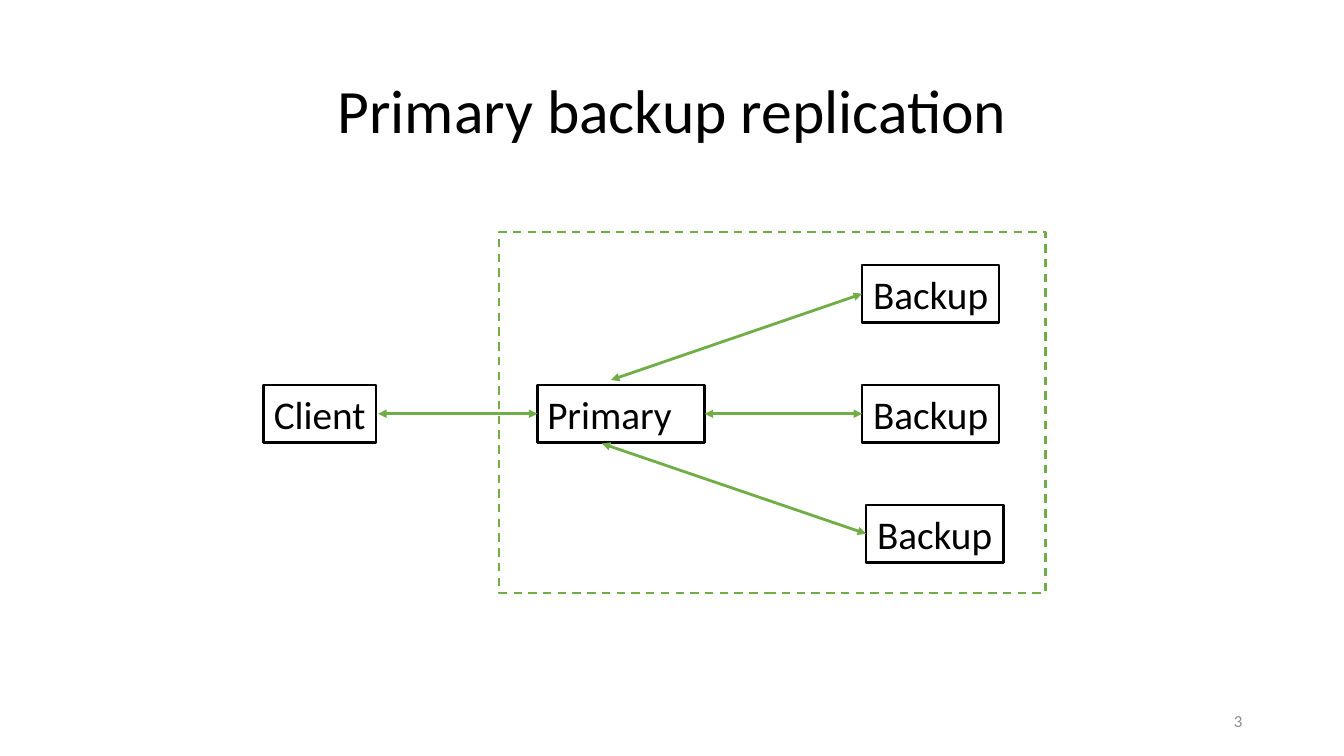
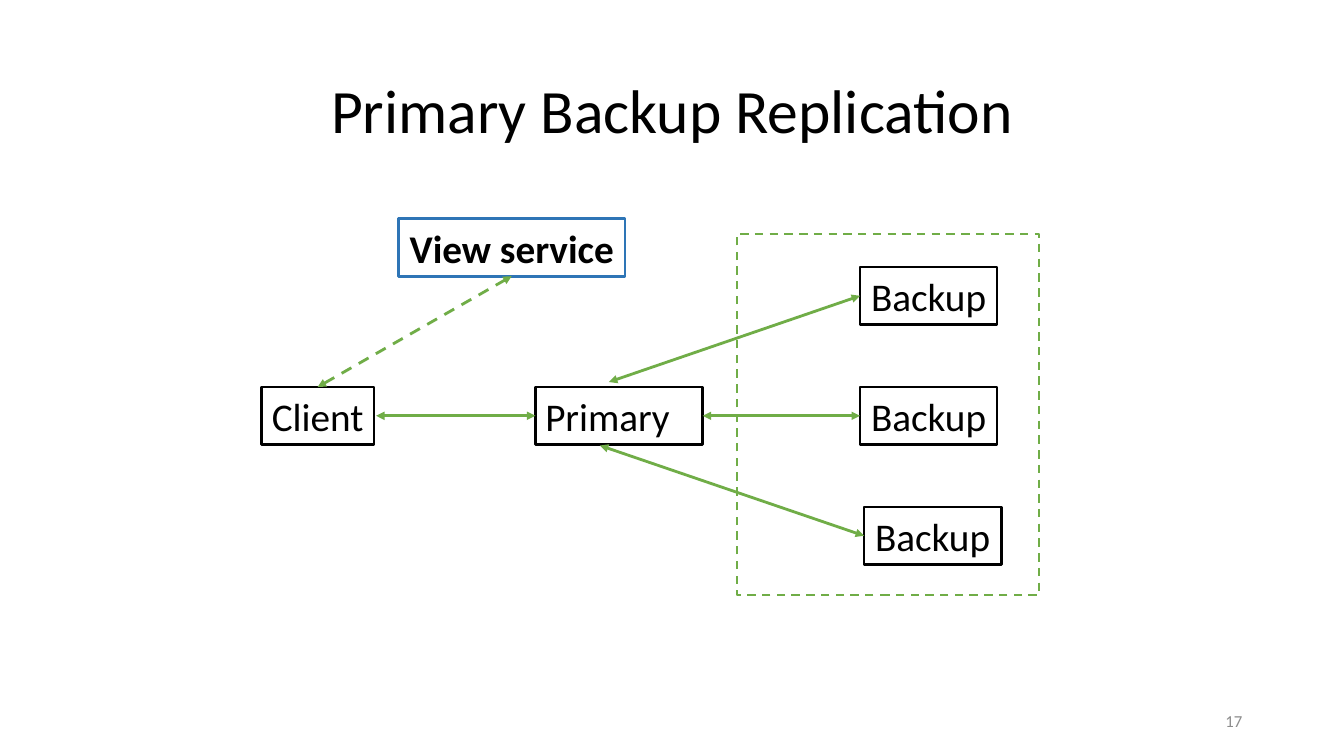
from dataclasses import dataclass
from lxml.etree import SubElement
from pptx import Presentation
from pptx.dml.color import RGBColor as Color
from pptx.enum.dml import MSO_LINE as Dash
from pptx.enum.shapes import MSO_CONNECTOR as Connector, MSO_SHAPE as Shape
from pptx.enum.text import MSO_ANCHOR as Anchor, PP_ALIGN as Align
from pptx.oxml.ns import qn
from pptx.util import Inches, Pt


@dataclass(frozen=True)
class Theme:
    font: str = "Calibri"
    ink: str = "000000"
    green: str = "70AD47"
    blue: str = "2E75B6"
    gray: str = "8C8C8C"
    title_size: int = 44
    node_size: int = 28
    number_size: int = 12
    stroke: float = 2
    frame_stroke: float = 1.5


theme = Theme()


def style_text(shape, text, size, color, align):
    frame = shape.text_frame
    frame.text = text
    frame.vertical_anchor = Anchor.MIDDLE
    para = frame.paragraphs[0]
    para.alignment = align
    para.font.name = theme.font
    para.font.size = Pt(size)
    para.font.color.rgb = Color.from_string(color)
    return frame


def style_line(shape, color, width, dashed=False):
    shape.line.color.rgb = Color.from_string(color)
    shape.line.width = Pt(width)
    if dashed:
        shape.line.dash_style = Dash.DASH


deck = Presentation()
deck.slide_width, deck.slide_height = Inches(13.33), Inches(7.5)
layout = deck.slide_layouts[5]
heading = layout.placeholders[0]
heading.left, heading.top = Inches(0.92), Inches(0.4)
heading.width, heading.height = Inches(11.5), Inches(1.45)

node_height = 0.57
client_x, client_width = 2.61, 1.12
primary_x, primary_width = 5.33, 1.66
backup_x, backup_width = 8.55, 1.36
last_backup_x = backup_x + 0.04
view_x, view_y, view_width = 3.97, 2.15, 2.25
first_y, row_pitch = 2.63, 1.19
upper, center, lower = [first_y + row * row_pitch for row in range(3)]
upper_mid, center_mid, lower_mid = [y + node_height / 2 for y in (upper, center, lower)]

nodes = [
    ("Client", client_x, center, client_width, theme.ink),
    ("Primary", primary_x, center, primary_width, theme.ink),
    ("Backup", backup_x, upper, backup_width, theme.ink),
    ("Backup", backup_x, center, backup_width, theme.ink),
    ("Backup", last_backup_x, lower, backup_width, theme.ink),
]
arrows = [
    (backup_x, upper_mid, 6.06, 3.77, False),
    (last_backup_x, lower_mid, 5.97, 4.4, False),
    (primary_x, center_mid, 3.75, center_mid, False),
    (backup_x, center_mid, primary_x + primary_width, center_mid, False),
]
view_node = ("View service", view_x, view_y, view_width, theme.blue)
view_arrow = (client_x + client_width / 2, center,
              view_x + view_width / 2, view_y + node_height, True)

pages = [
    ("Primary backup replication", "3", 0, (4.95, 5.42), nodes, arrows),
    ("Primary Backup Replication", "17", 0.02, (7.33, 3),
     nodes + [view_node], arrows + [view_arrow]),
]

for title, number, shift, (group_x, group_width), page_nodes, page_arrows in pages:
    page = deck.slides.add_slide(layout)
    title_frame = style_text(page.shapes.title, title, theme.title_size, theme.ink, Align.CENTER)
    title_frame.paragraphs[0].line_spacing = 0.9

    group = page.shapes.add_shape(
        Shape.RECTANGLE, Inches(group_x - shift), Inches(2.3 + shift),
        Inches(group_width), Inches(3.58))
    group.shadow.inherit = False
    group.fill.background()
    style_line(group, theme.green, theme.frame_stroke, True)

    for label, x, y, width, color in page_nodes:
        box = page.shapes.add_shape(
            Shape.RECTANGLE, Inches(x - shift), Inches(y + shift),
            Inches(width), Inches(node_height))
        box.shadow.inherit = False
        box.fill.background()
        style_line(box, color, theme.stroke)
        align = Align.LEFT if label == "Primary" else Align.CENTER
        frame = style_text(box, label, theme.node_size, theme.ink, align)
        frame.word_wrap = align == Align.LEFT
        frame.paragraphs[0].font.bold = label == "View service"

    for x1, y1, x2, y2, dashed in page_arrows:
        arrow = page.shapes.add_connector(
            Connector.STRAIGHT, Inches(x1 - shift), Inches(y1 + shift),
            Inches(x2 - shift), Inches(y2 + shift))
        style_line(arrow, theme.green, theme.stroke, dashed)
        stroke = arrow.line._get_or_add_ln()
        for end in ("a:headEnd", "a:tailEnd"):
            SubElement(stroke, qn(end), type="triangle")
        SubElement(arrow._element.spPr, qn("a:effectLst"))

    number_box = page.shapes.add_textbox(Inches(9.42), Inches(6.95), Inches(3), Inches(0.4))
    number_frame = style_text(number_box, number, theme.number_size, theme.gray, Align.RIGHT)
    number_frame.word_wrap = True

deck.save("out.pptx")
